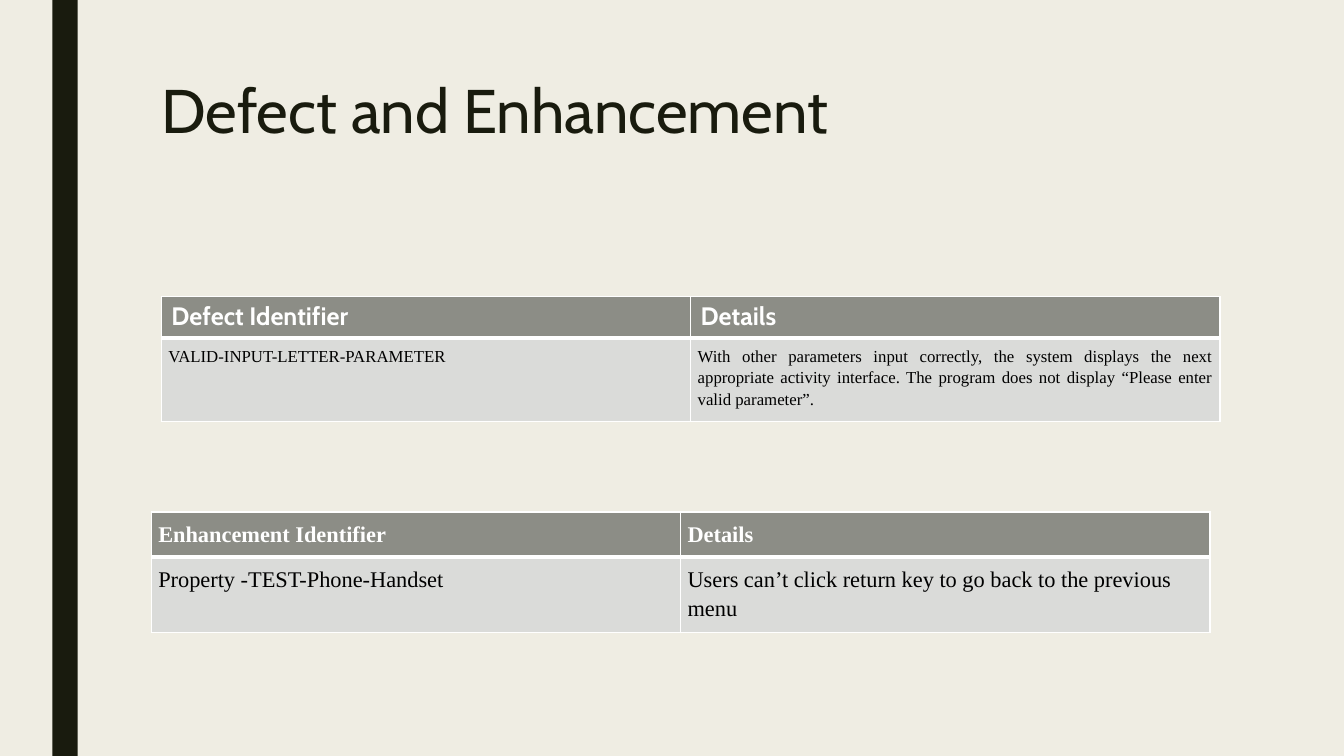
from lxml.etree import SubElement
from pptx import Presentation
from pptx.dml.color import RGBColor
from pptx.enum.shapes import MSO_SHAPE
from pptx.enum.text import PP_ALIGN
from pptx.oxml.ns import qn
from pptx.util import Pt

PX = 9144  # 100 px to the inch
C = {"bg": "EFEDE3", "dark": "191B0E", "head": "8C8D86", "body": "DADBD9",
     "white": "FFFFFF", "black": "000000"}
SERIF = "Times New Roman"


def write(tf, text, font="Cabin", size=18, color="black", bold=False,
          spacing=1.0, align=PP_ALIGN.LEFT):
    tf.word_wrap = True
    p = tf.paragraphs[0]
    p.alignment, p.line_spacing = align, spacing
    r = p.add_run()
    r.text = text
    r.font.name, r.font.size, r.font.bold = font, Pt(size), bold
    r.font.color.rgb = RGBColor.from_string(C[color])


def border(cell, side, width):
    ln = SubElement(cell._tc.get_or_add_tcPr(), qn("a:ln" + side), w=str(Pt(width)))
    fill = SubElement(ln, qn("a:solidFill"))
    SubElement(fill, qn("a:srgbClr"), val=C["white"])


prs = Presentation()
prs.slide_width, prs.slide_height = 1333 * PX, 750 * PX
s = prs.slides.add_slide(prs.slide_layouts[6])
s.background.fill.solid()
s.background.fill.fore_color.rgb = RGBColor.from_string(C["bg"])

# Side bar
bar = s.shapes.add_shape(MSO_SHAPE.RECTANGLE, 52 * PX, 0, 25 * PX, 750 * PX)
bar.shadow.inherit = False
bar.fill.solid()
bar.fill.fore_color.rgb = RGBColor.from_string(C["dark"])
bar.line.fill.background()

# Title
title = s.shapes.add_textbox(150 * PX, 75 * PX, 1050 * PX, 162 * PX)
write(title.text_frame, "Defect and Enhancement", size=44, color="dark", spacing=0.89)

# Tables: left, top, row heights, header format, body format, texts
defect_head = dict(size=18)
defect_body = dict(font=SERIF, size=12, spacing=1.15)
enhancement = dict(font=SERIF, size=16, spacing=1.15)
tables = [
    (160, 294, (41, 78), defect_head, defect_body, [
        ("Defect Identifier", "Details"),
        ("VALID-INPUT-LETTER-PARAMETER",
         "With other parameters input correctly, the system displays the next "
         "appropriate activity interface. The program does not display "
         "“Please enter valid parameter”.")]),
    (150, 508, (42, 71), enhancement, enhancement, [
        ("Enhancement Identifier", "Details"),
        ("Property -TEST-Phone-Handset",
         "Users can’t click return key to go back to the previous menu")]),
]
for left, top, heights, head, body, rows in tables:
    table = s.shapes.add_table(2, 2, left * PX, top * PX,
                               1050 * PX, sum(heights) * PX).table
    for i, texts in enumerate(rows):
        table.rows[i].height = heights[i] * PX
        is_head = i == 0
        fmt = head if is_head else body
        for j, text in enumerate(texts):
            cell = table.cell(i, j)
            if fmt is not defect_head:
                cell.margin_left = cell.margin_right = 7 * PX
                cell.margin_top = cell.margin_bottom = 7 * PX
            for side, width in zip("LRTB", (1, 1, 1, 3) if is_head else (1, 1, 3, 1)):
                border(cell, side, width)
            cell.fill.solid()
            cell.fill.fore_color.rgb = RGBColor.from_string(C["head" if is_head else "body"])
            justified = fmt is defect_body and j == 1
            write(cell.text_frame, text, color="white" if is_head else "black",
                  bold=is_head, align=PP_ALIGN.JUSTIFY if justified else PP_ALIGN.LEFT,
                  **fmt)

prs.save("out.pptx")
